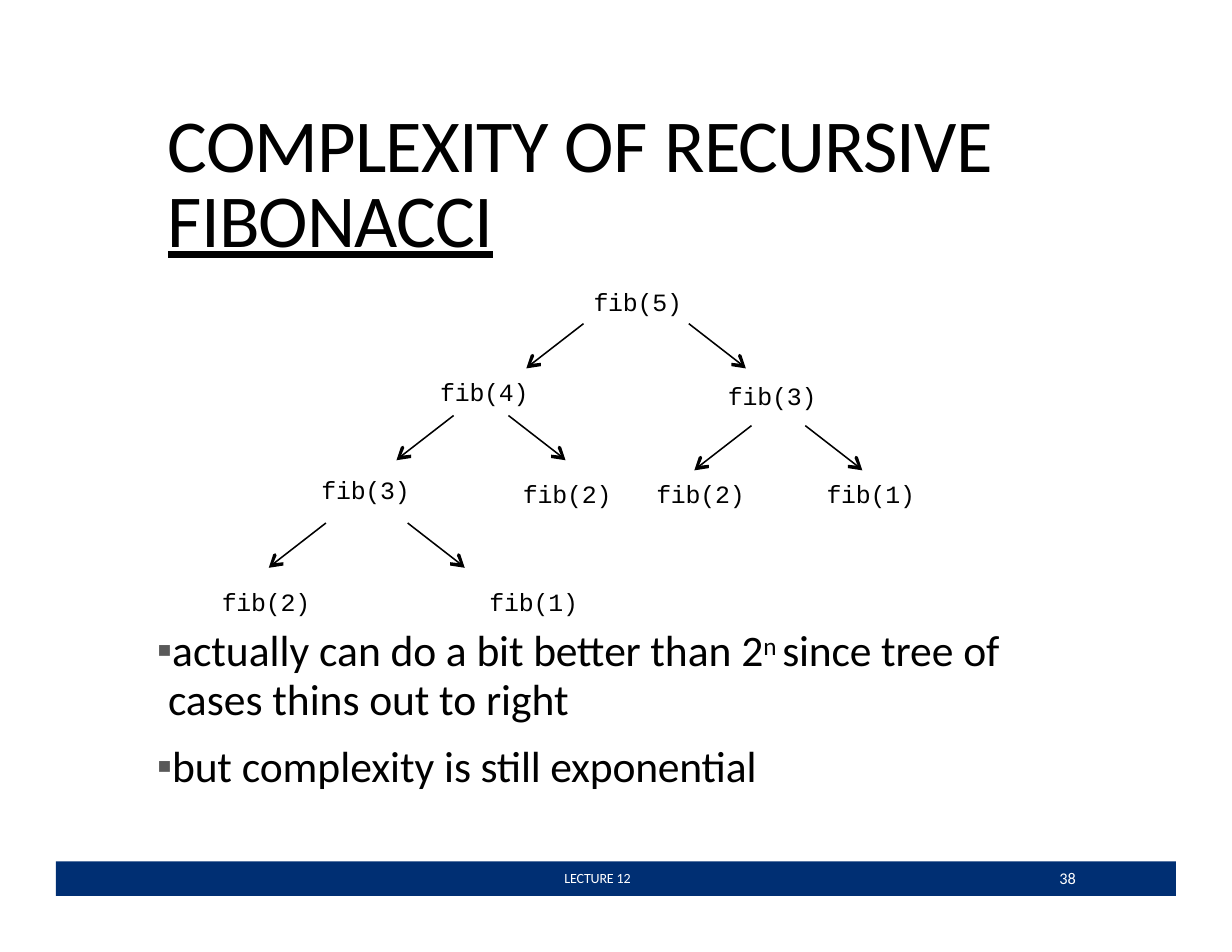
"""Build the slide on the complexity of recursive Fibonacci."""
from lxml.etree import SubElement
from pptx import Presentation
from pptx.dml.color import RGBColor
from pptx.enum.shapes import MSO_CONNECTOR as CONN, MSO_SHAPE as SHAPE
from pptx.enum.text import MSO_ANCHOR as ANCHOR, MSO_AUTO_SIZE as FIT
from pptx.oxml.ns import qn
from pptx.util import Inches, Pt


def color(value):
    return RGBColor.from_string(value)


class Deck:
    INK, BAR, BULLET, WHITE = "000000", "002F73", "595959", "FFFFFF"
    SANS, MONO, SYMBOL = "Calibri", "Courier New", "Arial"
    HEAD = [(0.06, -0.13), (0.04, -0.12), (0, 0), (0.13, -0.02),
            (0.13, -0.05), (0.04, -0.04), (0.07, -0.11)]

    def __init__(self, prs):
        self.s = prs.slides.add_slide(prs.slide_layouts[6])

    def paint(self, sp, ink):
        sp.shadow.inherit = False
        sp.fill.solid()
        sp.fill.fore_color.rgb = color(ink)
        sp.line.fill.background()

    def bar(self, *box):
        sp = self.s.shapes.add_shape(SHAPE.RECTANGLE, *map(Inches, box))
        self.paint(sp, self.BAR)

    def box(self, x, y, w, h, top=0.01):
        tf = self.s.shapes.add_textbox(*map(Inches, (x, y, w, h))).text_frame
        tf.word_wrap = True
        tf.auto_size = FIT.SHAPE_TO_FIT_TEXT
        tf.vertical_anchor = ANCHOR.TOP
        tf.margin_left = tf.margin_right = tf.margin_bottom = 0
        tf.margin_top = Inches(top)
        return tf

    def para(self, p, left, before, leading=None, hang=0, bullet=None, tab=None):
        p.space_before = Pt(before)
        if leading:
            p.line_spacing = Pt(leading)
        pPr = p._p.get_or_add_pPr()
        pPr.set("marL", str(Inches(left)))
        if hang:
            pPr.set("indent", str(Inches(hang)))
        if bullet:
            clr = SubElement(pPr, qn("a:buClr"))
            SubElement(clr, qn("a:srgbClr"), val=self.BULLET)
            SubElement(pPr, qn("a:buFont"), typeface=self.SYMBOL)
            SubElement(pPr, qn("a:buChar"), char=bullet)
        if tab:
            tabs = SubElement(pPr, qn("a:tabLst"))
            SubElement(tabs, qn("a:tab"), pos=str(Inches(tab)), algn="l")
        return p

    def run(self, p, text, size, font=SANS, ink=INK, spacing=0, underline=None, raised=0):
        r = p.add_run()
        r.text = text
        r.font.size = Pt(size)
        r.font.name = font
        r.font.color.rgb = color(ink)
        r.font.underline = underline
        rPr = r._r.get_or_add_rPr()
        rPr.set("spc", str(round(spacing * 100)))
        if raised:
            rPr.set("baseline", str(raised * 1000))

    def node(self, text, x, y):
        p = self.para(self.box(x, y, 0.83, 0.29).paragraphs[0], 0.01, 1)
        self.run(p, text, 16, self.MONO, spacing=-0.1)

    def arrow(self, x, y, side):
        ends = map(Inches, (x, y, x + side * 0.49, y + 0.38))
        c = self.s.shapes.add_connector(CONN.STRAIGHT, *ends)
        c.line.color.rgb = color(self.INK)
        c.line.width = Pt(1)
        SubElement(c._element.spPr, qn("a:effectLst"))
        tip_x, tip_y = x + side * 0.51, y + 0.4
        points = [(Inches(tip_x - side * dx), Inches(tip_y + dy)) for dx, dy in self.HEAD]
        fb = self.s.shapes.build_freeform(*points[0])
        fb.add_line_segments(points[1:], close=True)
        self.paint(fb.convert_to_shape(), self.INK)


def main():
    prs = Presentation()
    prs.slide_width, prs.slide_height = Inches(11), Inches(8.5)
    deck = Deck(prs)
    deck.bar(0.5, 7.69, 10, 0.31)

    title = deck.box(1.34, 0.86, 8.33, 1.49, top=0.15)
    p = deck.para(title.paragraphs[0], 0.16, 10.6, leading=48)
    for text, spacing in [("COMPLEXITY ", -0.6), ("OF ", -0.2), ("RECURSIVE ", -0.6)]:
        deck.run(p, text, 48, spacing=spacing)
    deck.run(p, "FIBONACCI", 48, spacing=-0.6, underline=True)

    nodes = [(5, 5.29, 2.55), (4, 3.92, 3.35), (3, 6.49, 3.39), (3, 2.86, 4.23),
             (2, 4.66, 4.26), (2, 5.85, 4.26), (1, 7.37, 4.26)]
    for n, x, y in nodes:
        deck.node(f"fib({n})", x, y)

    body = deck.box(1.39, 5.2, 7.79, 1.88, top=0.04)
    p = deck.para(body.paragraphs[0], 0.59, 3, tab=2.39)
    deck.run(p, "fib(2)\tfib(1)", 16, deck.MONO, spacing=-0.1)
    point = dict(left=0.11, hang=-0.1, bullet="▪", tab=0.28)
    p = deck.para(body.add_paragraph(), before=6.8, leading=31, **point)
    for text, spacing in [("actually can ", 0), ("do ", -0.1), ("a ", 0), ("bit ", -0.1),
                          ("better ", -0.2), ("than 2", 0)]:
        deck.run(p, text, 28, spacing=spacing)
    deck.run(p, "n ", 28, raised=26)
    for text, spacing in [("since ", -0.1), ("tree ", 0), ("of ", -0.1),
                          ("cases thins ", 0), ("out ", -0.1), ("to right", 0)]:
        deck.run(p, text, 28, spacing=spacing)
    p = deck.para(body.add_paragraph(), before=9.8, **point)
    for text, spacing in [("but ", -0.1), ("complexity ", 0), ("is still exponential", -0.1)]:
        deck.run(p, text, 28, spacing=spacing)

    forks = [(5.21, 6.15, 2.89), (4.05, 4.54, 3.71), (6.71, 7.19, 3.8), (2.91, 3.64, 4.67)]
    for left, right, y in forks:
        deck.arrow(left, y, -1)
        deck.arrow(right, y, 1)

    p = deck.para(deck.box(9.43, 7.67, 0.2, 0.27, top=0.08).paragraphs[0], 0.03, 0.5)
    deck.run(p, "38", 10.5, ink=deck.WHITE)
    p = deck.para(deck.box(5, 7.75, 1.01, 0.16).paragraphs[0], 0.04, 0.6)
    deck.run(p, "LECTURE 12", 9, ink=deck.WHITE, spacing=-0.1)

    prs.save("out.pptx")


if __name__ == "__main__":
    main()
